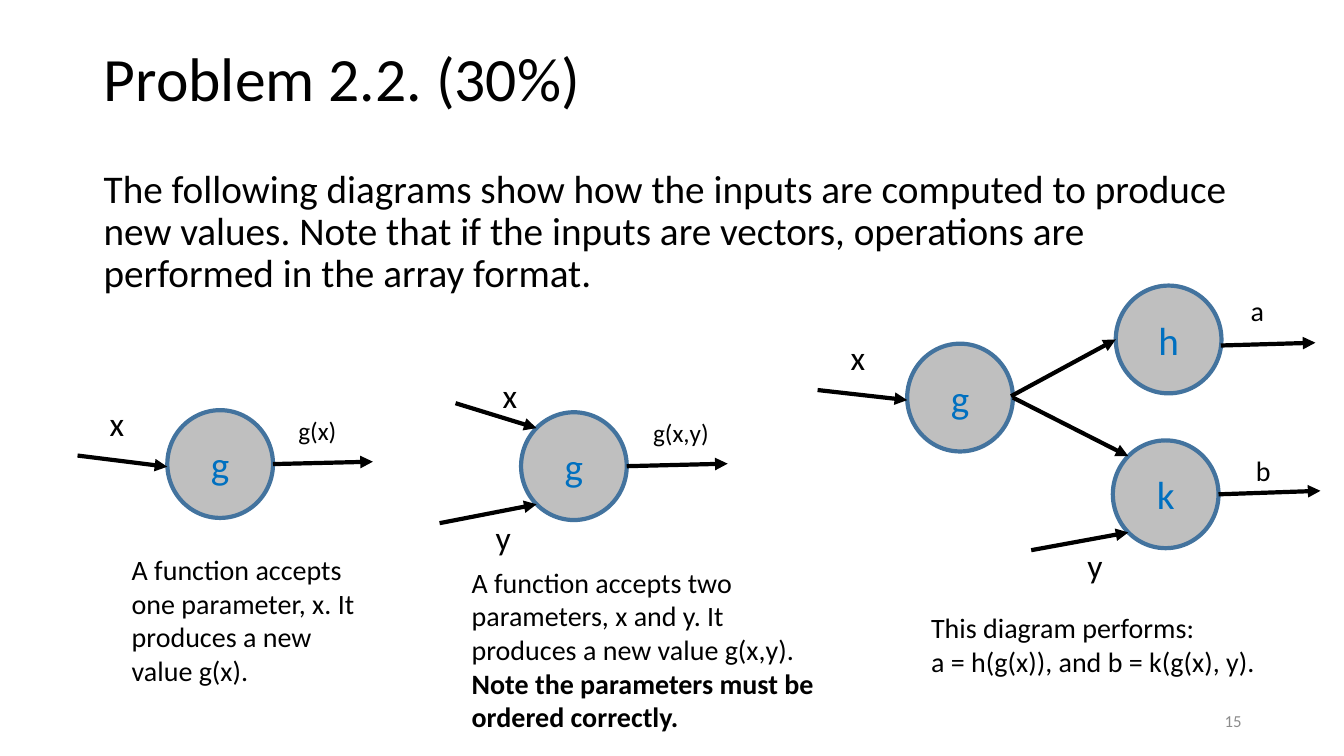
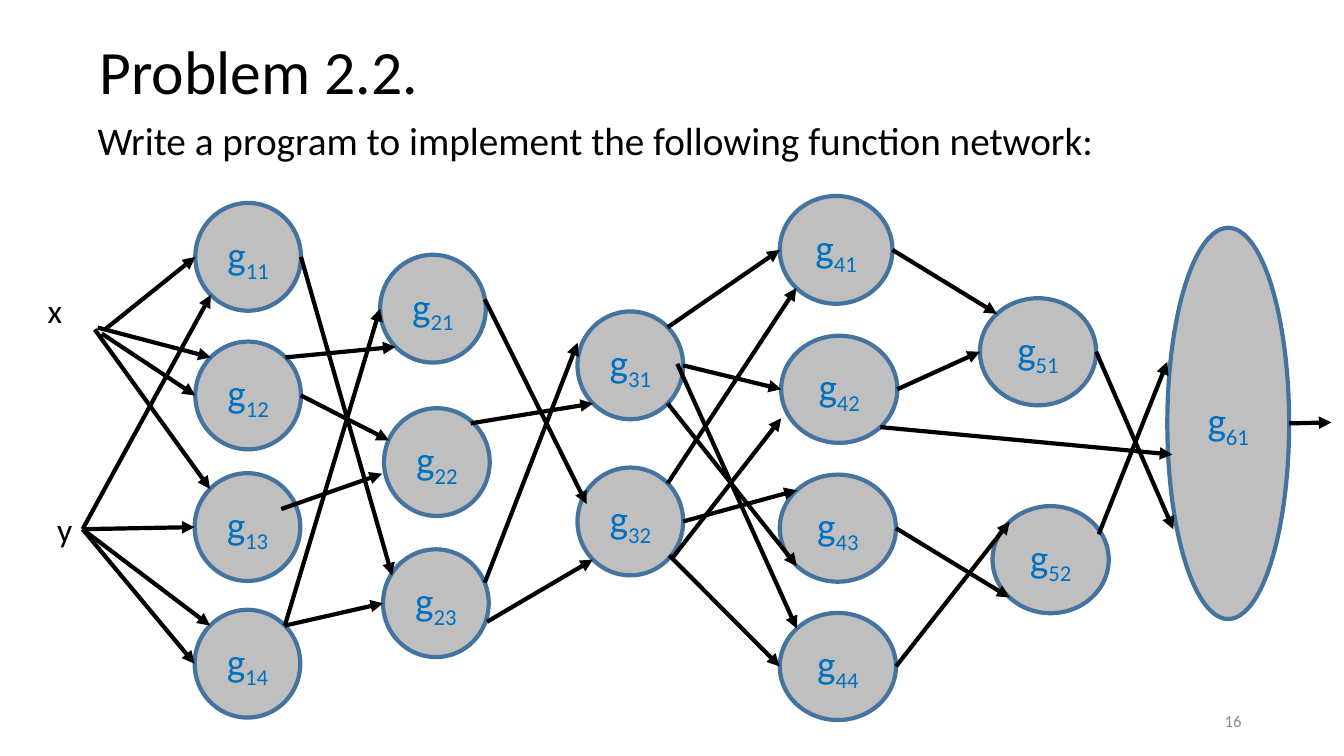
from math import cos, radians, sin

from lxml.etree import SubElement
from pptx import Presentation
from pptx.dml.color import RGBColor
from pptx.enum.shapes import MSO_CONNECTOR, MSO_SHAPE
from pptx.enum.text import MSO_ANCHOR, MSO_AUTO_SIZE, PP_ALIGN
from pptx.oxml.ns import qn
from pptx.util import Pt

COLORS = {"text": "000000", "node": "BFBFBF", "outline": "43739E",
          "symbol": "0070C0", "number": "8C8C8C"}

# Font, paragraph and frame values for each kind of text
STYLES = {
    "title": {"size": 44, "color": "text",
              "paragraph": {"alignment": PP_ALIGN.LEFT, "line_spacing": 0.9},
              "frame": {"vertical_anchor": MSO_ANCHOR.MIDDLE}},
    "body": {"size": 28, "color": "text", "paragraph": {"line_spacing": 0.9}},
    "caption": {"size": 20, "color": "text"},
    "variable": {"size": 24, "color": "text"},
    "output": {"size": 20, "color": "text"},
    "value": {"size": 18, "color": "text"},
    "node": {"size": 28, "color": "symbol",
             "paragraph": {"alignment": PP_ALIGN.CENTER},
             "frame": {"vertical_anchor": MSO_ANCHOR.MIDDLE,
                       "margin_left": 0, "margin_right": 0}},
    "number": {"size": 12, "color": "number",
               "paragraph": {"alignment": PP_ALIGN.RIGHT},
               "frame": {"vertical_anchor": MSO_ANCHOR.MIDDLE}},
}

# Places on the rim of a node, as angles clockwise from the right
SITES = {"right": 0, "lower-right": 45, "lower-left": 135,
         "left": 180, "upper-left": 225, "upper-right": 315}

ROUND = (75.5, 77)
WIDE = (83, 76.5)


def rgb(name):
    return RGBColor.from_string(COLORS[name])


def set_attributes(target, values):
    for name, value in values.items():
        setattr(target, name, value)


def write_text(frame, paragraphs, style_name):
    """Each paragraph is a list of (text, extra) runs; extra is bold, sub or None."""
    style = STYLES[style_name]
    set_attributes(frame, {"word_wrap": True, "auto_size": MSO_AUTO_SIZE.NONE,
                           **style.get("frame", {})})
    for index, runs in enumerate(paragraphs):
        paragraph = frame.add_paragraph() if index else frame.paragraphs[0]
        set_attributes(paragraph, style.get("paragraph", {}))
        for text, extra in runs:
            run = paragraph.add_run()
            run.text = text
            set_attributes(run.font, {"name": "Calibri", "size": Pt(style["size"]),
                                      "bold": extra == "bold"})
            run.font.color.rgb = rgb(style["color"])
            if extra == "sub":
                run._r.get_or_add_rPr().set("baseline", "-25000")


def add_text(slide, box, paragraphs, style_name):
    shape = slide.shapes.add_textbox(*map(Pt, box))
    write_text(shape.text_frame, paragraphs, style_name)


def add_node(slide, name, box):
    shape = slide.shapes.add_shape(MSO_SHAPE.OVAL, *map(Pt, box))
    shape.shadow.inherit = False
    shape.fill.solid()
    shape.fill.fore_color.rgb = rgb("node")
    shape.line.color.rgb = rgb("outline")
    shape.line.width = Pt(3)
    runs = [(name[0], None)]
    if name[1:]:
        runs.append((name[1:], "sub"))
    write_text(shape.text_frame, [runs], "node")


def add_arrow(slide, start, end):
    arrow = slide.shapes.add_connector(MSO_CONNECTOR.STRAIGHT, *map(Pt, start + end))
    arrow.line.color.rgb = rgb("text")
    arrow.line.width = Pt(3)
    SubElement(arrow.line._get_or_add_ln(), qn("a:tailEnd"), type="triangle")
    SubElement(arrow._element.spPr, qn("a:effectLst"))


def rim_point(box, site):
    left, top, width, height = box
    angle = radians(SITES[site])
    return (left + width / 2 * (1 + cos(angle)), top + height / 2 * (1 + sin(angle)))


def draw_diagram(slide, origin, nodes, links, labels, caption=None):
    """Place nodes, arrows, labels and a caption relative to origin.

    A link end is either "node site" or a free (x, y) point.
    """
    left, top = origin
    boxes = {name: (left + x, top + y, *size) for name, (x, y, size) in nodes.items()}

    def locate(end):
        if isinstance(end, str):
            name, site = end.split()
            return rim_point(boxes[name], site)
        return (left + end[0], top + end[1])

    for name, box in boxes.items():
        add_node(slide, name, box)
    for start, end in links:
        add_arrow(slide, locate(start), locate(end))
    for text, x, y, style_name in labels:
        add_text(slide, (left + x, top + y, 62, 36), [[(text, None)]], style_name)
    if caption:
        (x, y, width, height), paragraphs = caption
        add_text(slide, (left + x, top + y, width, height), paragraphs, "caption")


def add_page(presentation, title, title_corner, body, body_corner, number):
    """Title, lead text and slide number shared by both slides."""
    slide = presentation.slides.add_slide(presentation.slide_layouts[5])
    placeholder = slide.shapes.title
    set_attributes(placeholder, dict(zip(("left", "top", "width", "height"),
                                         map(Pt, (*title_corner, 828, 104.4)))))
    write_text(placeholder.text_frame, [[(title, None)]], "title")
    add_text(slide, (*body_corner, 828, 342.7), [[(body, None)]], "body")
    add_text(slide, (678, 500.4, 216, 28.8), [[(number, None)]], "number")
    return slide


def draw_one_input(slide, origin):
    draw_diagram(
        slide, origin, {"g": (64.5, 9, ROUND)},
        [((0.4, 41.4), (64.5, 49.4)), ("g right", (211.4, 45.8))],
        [("x", 16.3, 0, "variable"), ("g(x)", 151, 9, "value")],
        ((32, 107, 179, 104),
         [[("A function accepts one parameter, x. It produces a new value g(x).", None)]]))


def draw_two_inputs(slide, origin):
    draw_diagram(
        slide, origin, {"g": (58.2, 30.5, ROUND)},
        [((11.4, 24), "g upper-left"), ((0, 109.7), "g lower-left"),
         ("g right", (205.8, 67.2))],
        [("x", 38, 0, "variable"), ("y", 33, 101.8, "variable"),
         ("g(x,y)", 145.4, 30.5, "value")],
        ((15.8, 136.3, 262, 128),
         [[("A function accepts two parameters, x and y. "
            "It produces a new value g(x,y). ", None),
           ("Note the parameters must be ordered correctly.", "bold")]]))


def draw_composition(slide, origin):
    draw_diagram(
        slide, origin,
        {"g": (64, 41.5, ROUND), "h": (213, 0, ROUND), "k": (210.9, 110.6, ROUND)},
        [((0, 74.6), (64, 81.8)), ((138.2, 79), "h left"),
         ("g right", "k upper-left"), ((152.6, 189), "k lower-left"),
         ((288, 42.8), (355.6, 40.8)), ("k right", (359.2, 146.6))],
        [("x", 16.5, 32.9, "variable"), ("y", 185.7, 182, "variable"),
         ("a", 302.3, 2, "output"), ("b", 306, 116.4, "output")],
        ((74, 228.7, 268, 55),
         [[("This diagram performs:", None)],
          [("a = h(g(x)), and b = k(g(x), y).", None)]]))


def draw_network(slide, origin):
    nodes = {
        "g11": (112.5, 5, ROUND), "g12": (112.5, 104, ROUND),
        "g13": (112, 198, ROUND), "g14": (112, 295.6, ROUND),
        "g21": (244.5, 42, ROUND), "g22": (247.3, 151.6, ROUND),
        "g23": (246.6, 252.4, ROUND),
        "g31": (385.5, 82.5, ROUND), "g32": (385.5, 194, ROUND),
        "g41": (530, 0, (80.5, 77)), "g42": (531, 99.8, WIDE),
        "g43": (530, 199, WIDE), "g44": (530, 297.8, WIDE),
        "g51": (673, 73, WIDE), "g52": (682, 221.5, WIDE),
        "g61": (806.8, 22.7, (87, 279.5)),
    }
    y_source = (32, 238)
    links = [
        # Inputs to the first layer
        ((47.9, 95.4), "g11 left"), ((42.8, 94), "g12 upper-left"),
        ((45.7, 98.3), "g12 left"), ((40.7, 95.4), "g13 upper-left"),
        *((y_source, end) for end in
          ("g11 lower-left", "g13 left", "g14 upper-left", "g14 left")),
        # First to second layer
        ("g11 right", (253.1, 271.1)), ("g12 upper-right", "g21 lower-left"),
        ("g12 right", (250.9, 174.6)), ((173.9, 223.6), (245.9, 198.4)),
        ("g14 upper-right", "g21 left"), ("g14 upper-right", "g23 left"),
        # Second to third layer
        ((319.3, 73.8), (392, 220)), ((309.2, 162.4), "g31 lower-left"),
        ((319.3, 276.2), (385.6, 104.8)), ((320.8, 304.2), "g32 lower-left"),
        # Third to fourth layer
        ("g31 upper-right", "g41 left"), ("g31 right", "g42 left"),
        ("g31 lower-right", "g43 lower-left"), ((456.8, 119.9), "g44 upper-left"),
        ("g32 upper-right", "g41 lower-left"), ((452.5, 259.6), (531, 158.8)),
        ("g32 right", "g43 upper-left"), ((451.1, 256.7), "g44 left"),
        # Fourth to fifth layer
        ("g41 right", "g51 upper-left"), ("g42 right", "g51 left"),
        ("g43 right", "g52 lower-left"), ("g44 right", "g52 upper-left"),
        # Last layer and output
        ("g42 lower-right", (810.4, 184.7)), ("g51 right", (811.1, 238)),
        ((757.8, 241.6), (806.8, 118.5)), ("g61 right", (924.1, 161.7)),
    ]
    labels = [("x", 0, 63.8, "variable"), ("y", 6.8, 220, "variable")]
    draw_diagram(slide, origin, nodes, links, labels)


def main():
    presentation = Presentation()
    presentation.slide_width, presentation.slide_height = Pt(960), Pt(540)

    # Notation of the diagrams
    slide = add_page(
        presentation, "Problem 2.2. (30%)", (67, 5.8),
        "The following diagrams show how the inputs are computed to produce new "
        "values. Note that if the inputs are vectors, operations are performed "
        "in the array format.", (67, 117.4), "15")
    draw_one_input(slide, (55, 284))
    draw_two_inputs(slide, (314, 264))
    draw_composition(slide, (584, 204))

    # Function network to implement
    slide = add_page(
        presentation, "Problem 2.2.", (64, 1.4),
        "Write a program to implement the following function network:",
        (62.6, 83.5), "16")
    draw_network(slide, (27, 140))

    presentation.save("out.pptx")


if __name__ == "__main__":
    main()
